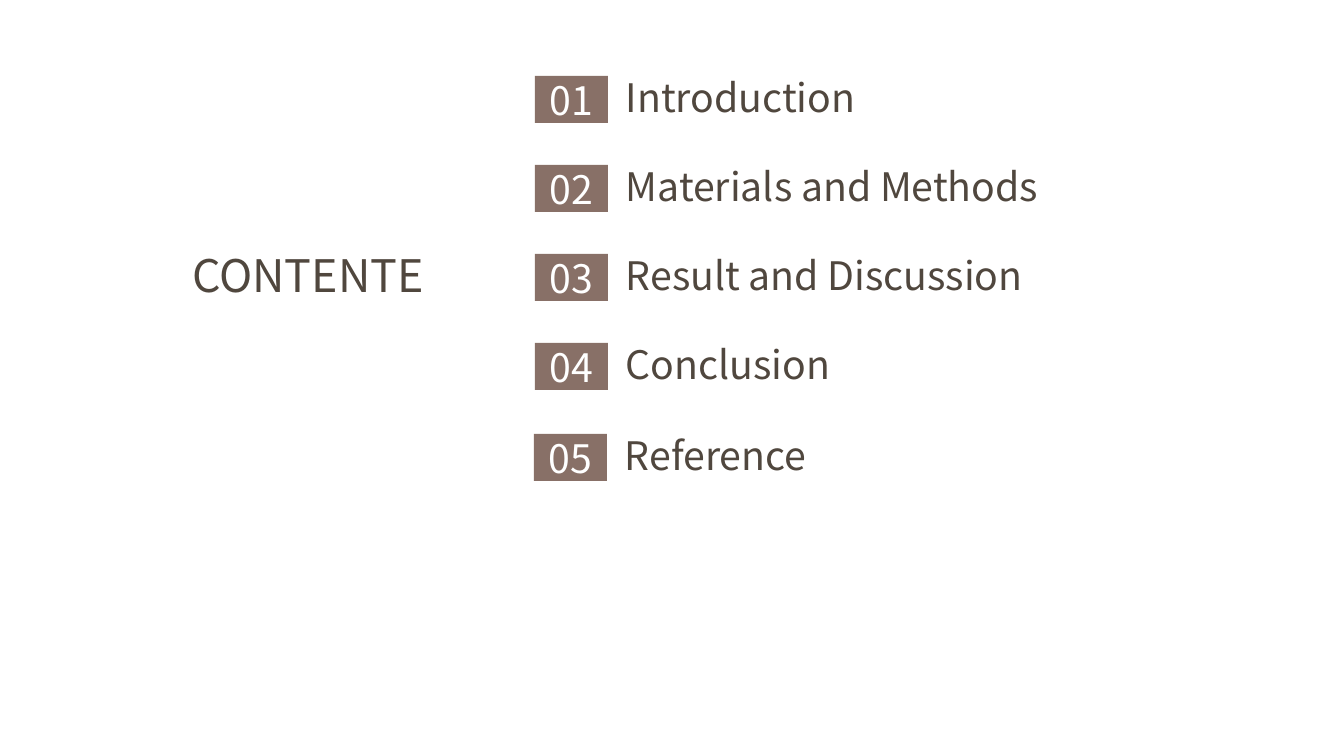
from pptx import Presentation
from pptx import util as u
from pptx.dml.color import RGBColor
from pptx.enum import shapes, text

EMU_PER_PX = 914400 / 100.8
ENTRIES = [
    ("Introduction", 255),
    ("Materials and Methods", 459),
    ("Result and Discussion", 430),
    ("Conclusion", 230),
    ("Reference", 208),
]


def px(*lengths):
    return [u.Emu(round(n * EMU_PER_PX)) for n in lengths]


def rgb(value):
    return RGBColor.from_string(value)


class ContentsSlide:
    FONT = "Noto Sans CJK SC"
    INK, BADGE, WHITE = "50473E", "887067", "FFFFFF"

    def __init__(self, prs):
        self.slide = prs.slides.add_slide(prs.slide_layouts[5])

    def set_text(self, sp, words, size, color, align=text.PP_ALIGN.LEFT, **frame):
        """Fill a shape with one styled line; frame holds text frame settings."""
        tf = sp.text_frame
        for name, value in frame.items():
            setattr(tf, name, value)
        p = tf.paragraphs[0]
        p.alignment = align
        r = p.add_run()
        r.text = words
        style = {"name": self.FONT, "size": u.Pt(size)}
        for name, value in style.items():
            setattr(r.font, name, value)
        r.font.color.rgb = rgb(color)

    def title(self, words, *box):
        sp = self.slide.shapes.title
        sp.left, sp.top, sp.width, sp.height = px(*box)
        self.set_text(sp, words, 32, self.INK, word_wrap=True,
                      vertical_anchor=text.MSO_ANCHOR.TOP,
                      auto_size=text.MSO_AUTO_SIZE.SHAPE_TO_FIT_TEXT)

    def label(self, words, *box):
        sp = self.slide.shapes.add_textbox(*px(*box))
        self.set_text(sp, words, 28, self.INK, word_wrap=False,
                      auto_size=text.MSO_AUTO_SIZE.SHAPE_TO_FIT_TEXT)

    def badge(self, number, *box):
        sp = self.slide.shapes.add_shape(shapes.MSO_SHAPE.RECTANGLE, *px(*box))
        sp.shadow.inherit = False
        sp.fill.solid()
        sp.fill.fore_color.rgb = rgb(self.BADGE)
        sp.line.fill.background()
        self.set_text(sp, number, 28, self.WHITE, text.PP_ALIGN.CENTER,
                      vertical_anchor=text.MSO_ANCHOR.MIDDLE)


def main():
    prs = Presentation()
    prs.slide_width, prs.slide_height = px(1344, 756)
    contents = ContentsSlide(prs)
    contents.title("CONTENTE", 182, 243, 288, 65)
    for i, (words, width) in enumerate(ENTRIES):
        # The last entry sits slightly lower and to the left
        last = i == len(ENTRIES) - 1
        left = 534 if last else 535
        top = 434 if last else 76 + 89 * i
        contents.badge(f"{i + 1:02}", left, top, 73, 47)
        contents.label(words, left + 81, top - 8, width, 57)
    prs.save("out.pptx")


if __name__ == "__main__":
    main()
